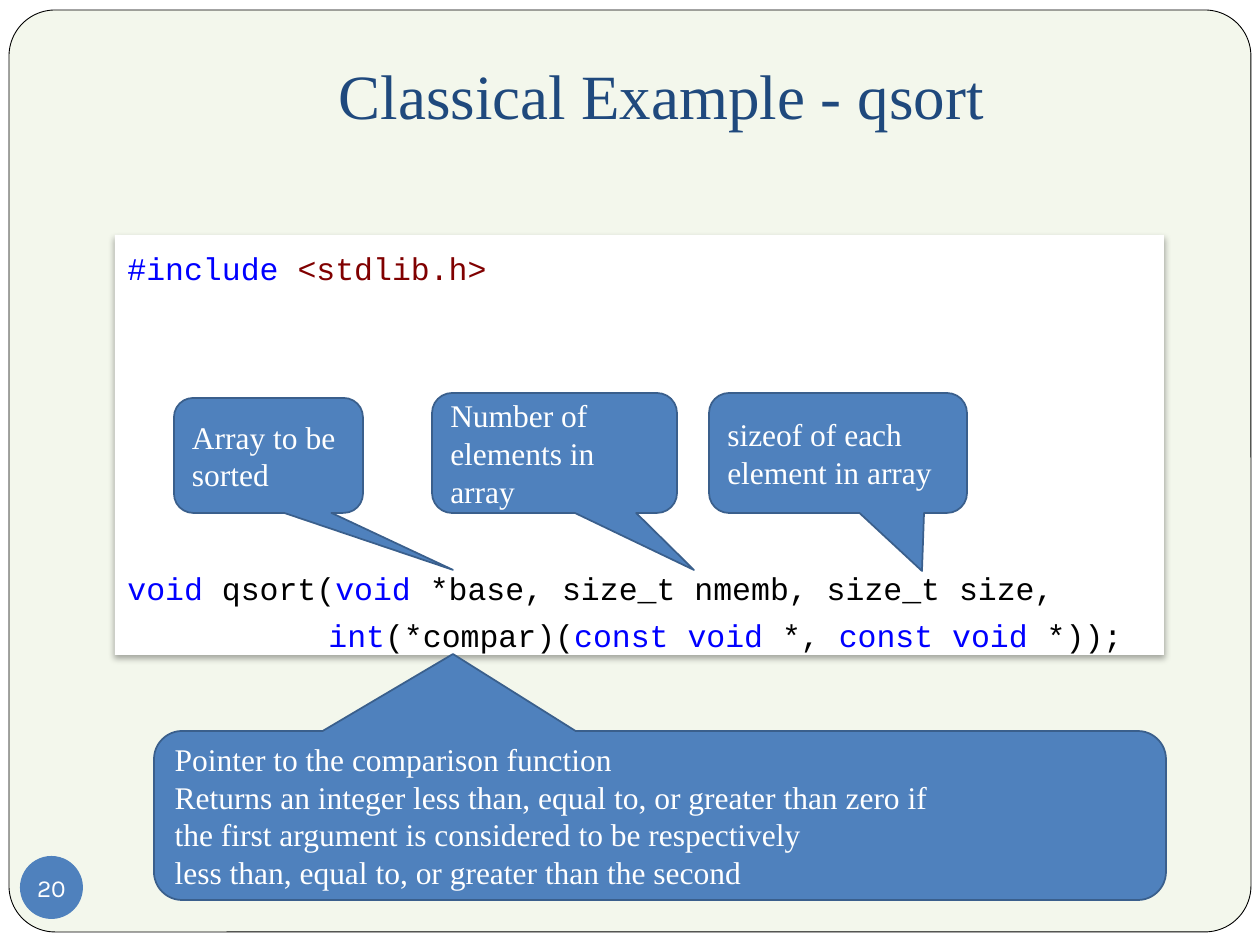
import pptx
import pptx.util
import pptx.dml.color
import pptx.enum.shapes
import pptx.enum.text
import pptx.oxml
import pptx.oxml.ns

EMU_PER_PX = 914400 / 126
SHAPES = pptx.enum.shapes.MSO_SHAPE
ALIGN = pptx.enum.text.PP_ALIGN
ANCHOR = pptx.enum.text.MSO_ANCHOR

SERIF = "Times New Roman"
MONO = "Courier New"
BLUE = "4F81BD"
KEYWORD = "0000FF"
HEADER = "800000"
PLAIN = "000000"


def px(length):
    return pptx.util.Emu(round(length * EMU_PER_PX))


def color(hex_value):
    return pptx.dml.color.RGBColor.from_string(hex_value)


def style_run(run, font, size, hex_value):
    run.font.name = font
    run.font.size = pptx.util.Pt(size)
    run.font.color.rgb = color(hex_value)


def style_text(frame, font, size, hex_value, align):
    for paragraph in frame.paragraphs:
        paragraph.alignment = align
        for run in paragraph.runs:
            style_run(run, font, size, hex_value)


def add_panel(slide, preset, box, fill, line=None, width=1):
    panel = slide.shapes.add_shape(preset, *map(px, box))
    panel.shadow.inherit = False
    panel.fill.solid()
    panel.fill.fore_color.rgb = color(fill)
    if line:
        panel.line.color.rgb = color(line)
        panel.line.width = pptx.util.Pt(width)
    else:
        panel.line.fill.background()
    return panel


def add_frame(slide, box):
    frame = add_panel(slide, SHAPES.ROUNDED_RECTANGLE, box, "F3F7EC", "000000", 0.5)
    frame.adjustments[0] = 0.05


def place_title(slide, box, text):
    title = slide.shapes.title
    title.left, title.top, title.width, title.height = map(px, box)
    frame = title.text_frame
    frame.text = text
    frame.auto_size = pptx.enum.text.MSO_AUTO_SIZE.NONE
    frame.vertical_anchor = ANCHOR.BOTTOM
    frame.margin_bottom = px(13)
    style_text(frame, SERIF, 36, "1F497D", ALIGN.CENTER)


def add_page_number(slide, box, number):
    badge = add_panel(slide, SHAPES.OVAL, box, BLUE)
    frame = badge.text_frame
    frame.margin_left = frame.margin_right = frame.margin_top = frame.margin_bottom = 0
    frame.word_wrap = False
    frame.vertical_anchor = ANCHOR.MIDDLE
    frame.text = number
    style_text(frame, "Karla", 14, "FFFFFF", ALIGN.CENTER)


def add_soft_shadow(shape):
    effects = shape._element.spPr.find(pptx.oxml.ns.qn("a:effectLst"))
    effects.append(pptx.oxml.parse_xml(
        f'<a:outerShdw {pptx.oxml.ns.nsdecls("a")} blurRad="44450" dist="27940" '
        'dir="5400000" algn="ctr"><a:srgbClr val="000000">'
        '<a:alpha val="32000"/></a:srgbClr></a:outerShdw>'))


def add_code(slide, box, lines):
    listing = add_panel(slide, SHAPES.RECTANGLE, box, "FFFFFF")
    add_soft_shadow(listing)
    frame = listing.text_frame
    frame.word_wrap = True
    frame.vertical_anchor = ANCHOR.TOP
    for index, (space_before, indent, tokens) in enumerate(lines):
        paragraph = frame.add_paragraph() if index else frame.paragraphs[0]
        paragraph.alignment = ALIGN.LEFT
        paragraph.line_spacing = 1.2
        paragraph.space_before = pptx.util.Pt(space_before)
        paragraph._p.get_or_add_pPr().set("marL", str(px(indent)))
        for text, hex_value in tokens:
            run = paragraph.add_run()
            run.text = text
            style_run(run, MONO, 18, hex_value)


def add_callout(slide, box, tip, text):
    left, top, width, height = box
    callout = add_panel(slide, SHAPES.ROUNDED_RECTANGULAR_CALLOUT, box, BLUE, "3A5F8C")
    callout.adjustments[0] = (tip[0] - left) / width - 0.5
    callout.adjustments[1] = (tip[1] - top) / height - 0.5
    frame = callout.text_frame
    frame.word_wrap = True
    frame.vertical_anchor = ANCHOR.MIDDLE
    frame.text = text
    style_text(frame, SERIF, 18, "FFFFFF", ALIGN.LEFT)


CODE_LINES = [
    (0, 0, [("#include ", KEYWORD), ("<stdlib.h>", HEADER)]),
    (157, 0, [("void ", KEYWORD), ("qsort(", PLAIN), ("void", KEYWORD),
              (" *base, size_t nmemb, size_t size,", PLAIN)]),
    (1, 201, [("int", KEYWORD), ("(*compar)(", PLAIN), ("const void", KEYWORD),
              (" *, ", PLAIN), ("const void", KEYWORD), (" *));", PLAIN)]),
]

CALLOUTS = [
    ((154, 731, 1012, 169), (453, 654),
     "Pointer to the comparison function\n"
     "Returns an integer less than, equal to, or greater than zero if\v"
     "the first argument is considered to be respectively\v"
     "less than, equal to, or greater than the second"),
    ((174, 398, 189, 115), (453, 570), "Array to be sorted"),
    ((432, 393, 245, 120), (694, 570), "Number of elements in array"),
    ((709, 393, 258, 120), (922, 571), "sizeof of each element in array"),
]


def main():
    deck = pptx.Presentation()
    deck.slide_width, deck.slide_height = px(1260), px(945)
    slide = deck.slides.add_slide(deck.slide_layouts[5])
    add_frame(slide, (9, 10, 1242, 922))
    title_element = slide.shapes.title._element
    title_element.getparent().append(title_element)
    place_title(slide, (126, 48, 1071, 97), "Classical Example - qsort")
    add_page_number(slide, (20, 856, 63, 63), "20")
    add_code(slide, (115, 235, 1049, 420), CODE_LINES)
    for box, tip, text in CALLOUTS:
        add_callout(slide, box, tip, text)
    deck.save("out.pptx")


if __name__ == "__main__":
    main()
